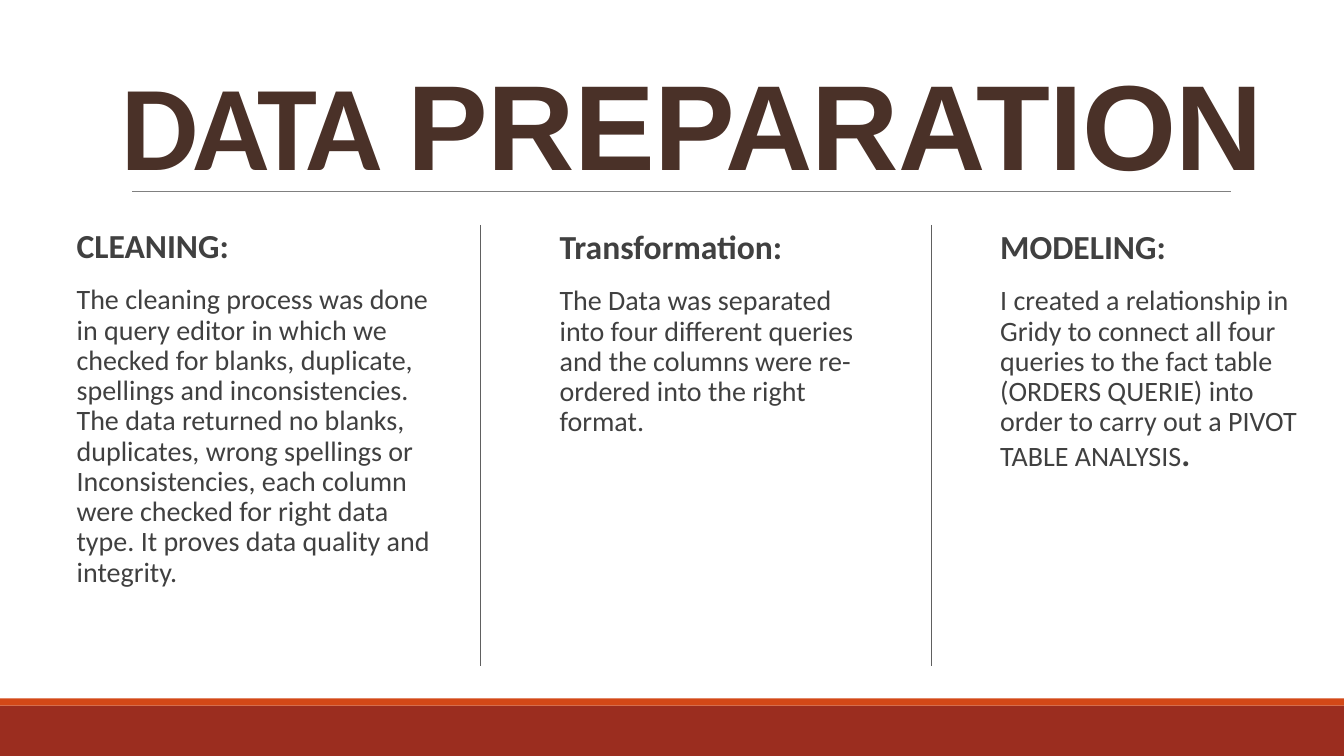
from pptx import Presentation
from pptx.dml.color import RGBColor
from pptx.enum.shapes import MSO_CONNECTOR, MSO_SHAPE
from pptx.enum.text import MSO_ANCHOR, MSO_AUTO_SIZE, PP_ALIGN
from pptx.oxml.ns import qn
from pptx.util import Inches, Pt
from lxml.etree import SubElement

TITLE = [("DATA ", "Calibri"), ("PREPARATION", "Arial")]
# heading, body, bold ending, box (left, top, width, height)
COLUMNS = [
    ("CLEANING:",
     "The cleaning process was done in query editor in which we checked for "
     "blanks, duplicate, spellings and inconsistencies. The data returned no "
     "blanks, duplicates, wrong spellings or Inconsistencies, each column were "
     "checked for right data type. It proves data quality and integrity.",
     "", (0.66, 2.23, 3.78, 4.6)),
    ("Transformation:",
     "The Data was separated into four different queries and the columns were "
     "re-ordered into the right format.",
     "", (5.45, 2.24, 3.05, 4.54)),
    ("MODELING:",
     "I created a relationship in Gridy to connect all four queries to the fact "
     "table (ORDERS QUERIE) into order to carry out a PIVOT TABLE ANALYSIS",
     ".", (9.82, 2.24, 3.05, 4.54)),
]
BANDS = [(7, 0.5, "9B2D1F"), (6.93, 0.07, "D34817")]  # top, height, colour
RULES = [  # start x, start y, end x, end y, colour
    (1.31, 1.9, 12.21, 1.9, "808080"),
    (4.76, 2.23, 4.76, 6.61, "606060"),
    (9.24, 2.23, 9.24, 6.61, "606060"),
]
BROWN, GREY = "4A3128", "404040"


def rgb(value):
    return RGBColor.from_string(value)


def place(shape, left, top, width, height):
    shape.left, shape.top = Inches(left), Inches(top)
    shape.width, shape.height = Inches(width), Inches(height)


def add_text(paragraph, text, size, font="Calibri", color=GREY, bold=False, spacing=None):
    run = paragraph.add_run()
    run.text = text
    run.font.name, run.font.size, run.font.bold = font, Pt(size), bold
    run.font.color.rgb = rgb(color)
    if spacing is not None:
        run.font._element.set("spc", str(round(spacing * 100)))


def format_column_paragraph(paragraph):
    paragraph.alignment = PP_ALIGN.LEFT
    paragraph.line_spacing = 0.9
    paragraph.space_before, paragraph.space_after = Pt(12), Pt(2)
    properties = paragraph._p.get_or_add_pPr()
    properties.set("marL", str(Inches(0.1)))
    properties.set("indent", "0")
    SubElement(properties, qn("a:buNone"))


def fill_title(title):
    place(title, 1.11, 0.4, 11.74, 1.59)
    frame = title.text_frame
    frame.auto_size = MSO_AUTO_SIZE.NONE
    frame.vertical_anchor = MSO_ANCHOR.BOTTOM
    paragraph = frame.paragraphs[0]
    paragraph.alignment, paragraph.line_spacing = PP_ALIGN.LEFT, 0.85
    for text, font in TITLE:
        add_text(paragraph, text, 86.4, font=font, color=BROWN, bold=True, spacing=-0.5)


def fill_column(shape, heading, body, ending, box):
    place(shape, *box)
    frame = shape.text_frame
    frame.word_wrap = True
    frame.auto_size = MSO_AUTO_SIZE.NONE
    frame.vertical_anchor = MSO_ANCHOR.TOP
    frame.margin_left = frame.margin_right = 0
    frame.margin_top = frame.margin_bottom = Inches(0.05)
    heading_paragraph, body_paragraph = frame.paragraphs[0], frame.add_paragraph()
    for paragraph in (heading_paragraph, body_paragraph):
        format_column_paragraph(paragraph)
    add_text(heading_paragraph, heading, 24, bold=True)
    add_text(body_paragraph, body, 20)
    if ending:
        add_text(body_paragraph, ending, 24, bold=True)


def add_band(slide, width, top, height, color):
    band = slide.shapes.add_shape(MSO_SHAPE.RECTANGLE, 0, Inches(top), width, Inches(height))
    band.shadow.inherit = False
    band.fill.solid()
    band.fill.fore_color.rgb = rgb(color)
    band.line.fill.background()


def add_rule(slide, *ends, color):
    rule = slide.shapes.add_connector(MSO_CONNECTOR.STRAIGHT, *map(Inches, ends))
    rule.line.color.rgb, rule.line.width = rgb(color), Pt(0.5)
    SubElement(rule._element.spPr, qn("a:effectLst"))


def main():
    presentation = Presentation()
    presentation.slide_width, presentation.slide_height = Inches(13.33), Inches(7.5)
    two_content = presentation.slide_layouts.get_by_name("Two Content")
    slide = presentation.slides.add_slide(two_content)
    for band in BANDS:
        add_band(slide, presentation.slide_width, *band)
    for *ends, color in RULES:
        add_rule(slide, *ends, color=color)
    fill_title(slide.shapes.title)
    third_column = slide.shapes.add_textbox(0, 0, 0, 0)
    column_shapes = [slide.placeholders[1], slide.placeholders[2], third_column]
    for shape, column in zip(column_shapes, COLUMNS):
        fill_column(shape, *column)
    presentation.save("out.pptx")


if __name__ == "__main__":
    main()
